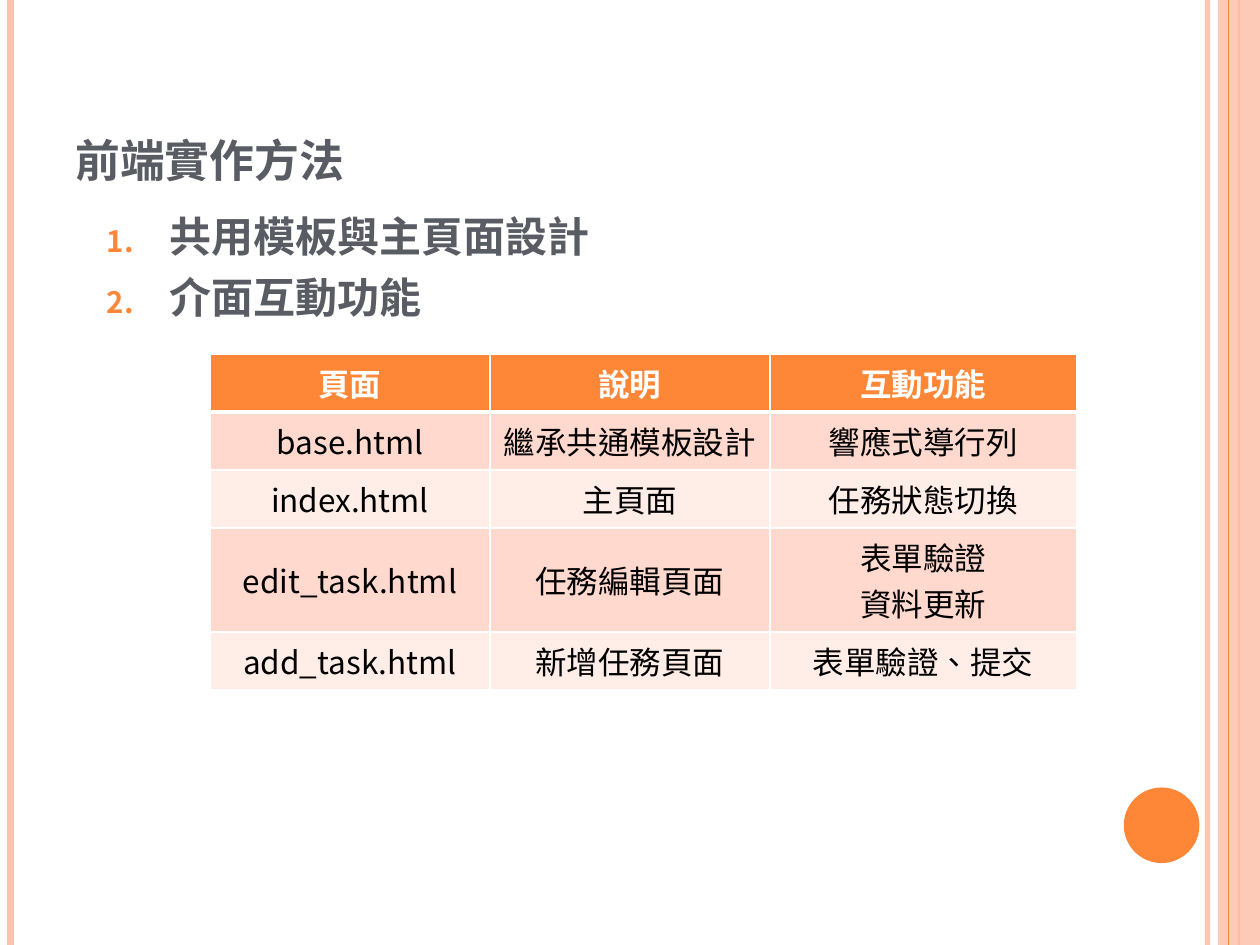
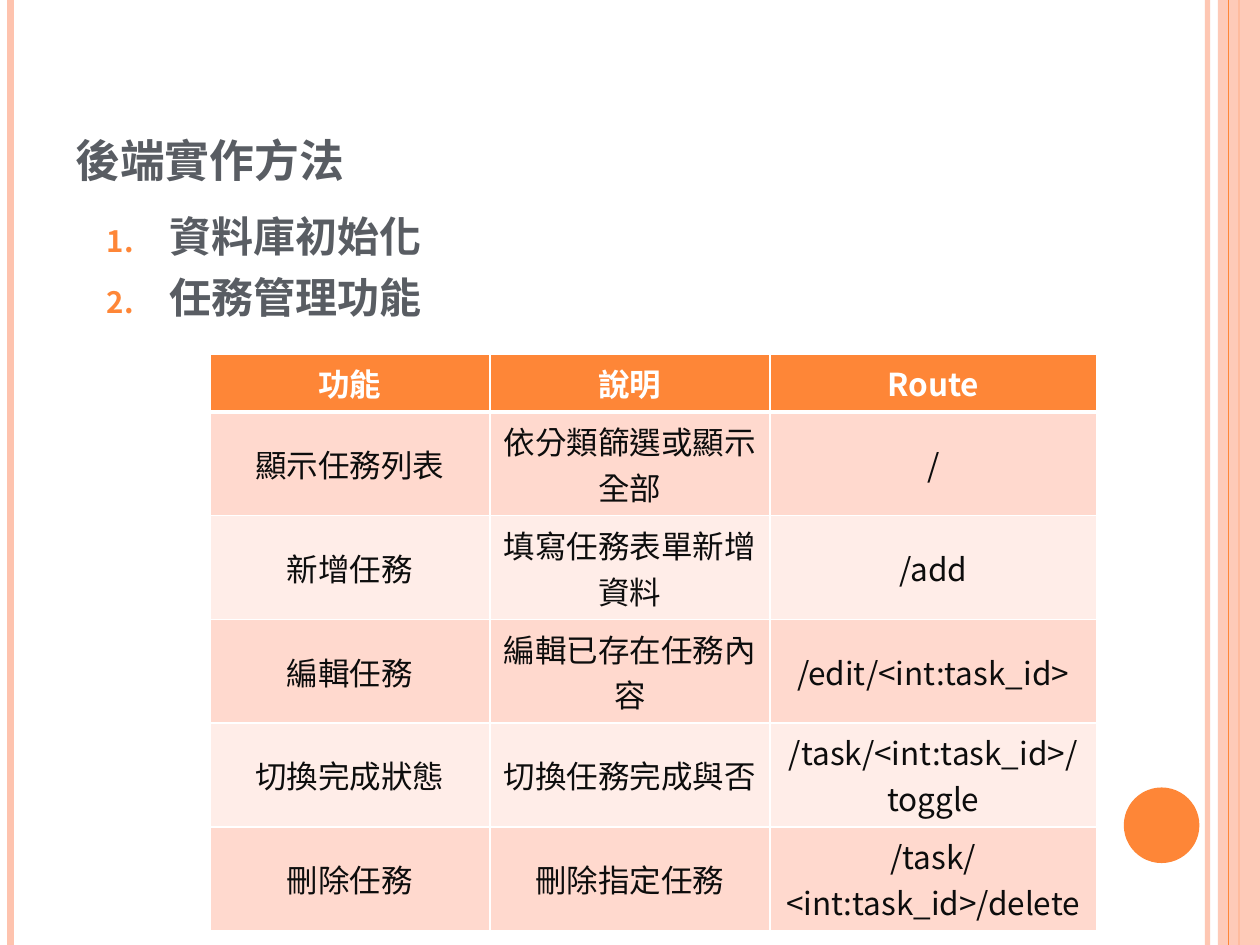
from lxml.etree import SubElement
from pptx import Presentation
from pptx.dml.color import RGBColor
from pptx.enum.shapes import MSO_CONNECTOR as CONN, MSO_SHAPE as SHAPE
from pptx.enum.text import MSO_ANCHOR as ANCHOR, PP_ALIGN as ALIGN
from pptx.oxml.ns import qn
from pptx.util import Pt

FONT = "Noto Sans CJK SC"
ORANGE = RGBColor(0xFE, 0x86, 0x37)
PEACH = RGBColor(0xFE, 0xC3, 0xAE)
BAND_DARK = RGBColor(0xFF, 0xD9, 0xCE)
BAND_LIGHT = RGBColor(0xFF, 0xED, 0xE8)
SLATE = RGBColor(0x59, 0x5D, 0x63)
WHITE = RGBColor(0xFF, 0xFF, 0xFF)
BLACK = RGBColor(0x00, 0x00, 0x00)
NEAR_BLACK = RGBColor(0x0D, 0x0D, 0x0D)

SLIDE_W, SLIDE_H = 720, 540
TITLE_BOX = (36, 21.6, 588, 90)
LIST_BOX = (54, 116.6, 588, 384)
TABLE_POS = (120, 202.2)
CELL_PAD, LINE_H = 7.1, 26.1

FRONTEND = dict(
    title="前端實作方法",
    items=["共用模板與主頁面設計", "介面互動功能"],
    widths=[160, 160, 175.2],
    row_lines=[1, 1, 1, 2, 1],
    ink=BLACK,
    rows=[
        ["頁面", "說明", "互動功能"],
        ["base.html", "繼承共通模板設計", "響應式導行列"],
        ["index.html", "主頁面", "任務狀態切換"],
        ["edit_task.html", "任務編輯頁面", "表單驗證\n資料更新"],
        ["add_task.html", "新增任務頁面", "表單驗證、提交"],
    ],
)
BACKEND = dict(
    title="後端實作方法",
    items=["資料庫初始化", "任務管理功能"],
    widths=[160, 160, 186.6],
    row_lines=[1, 2, 2, 2, 2, 2],
    ink=NEAR_BLACK,
    rows=[
        ["功能", "說明", "Route"],
        ["顯示任務列表", "依分類篩選或顯示全部", "/"],
        ["新增任務", "填寫任務表單新增資料", "/add"],
        ["編輯任務", "編輯已存在任務內容", "/edit/<int:task_id>"],
        ["切換完成狀態", "切換任務完成與否", "/task/<int:task_id>/\ntoggle"],
        ["刪除任務", "刪除指定任務", "/task/<int:task_id>/delete"],
    ],
)


def sub(parent, tag, **attrs):
    """Append a DrawingML element with the given attributes."""
    el = SubElement(parent, qn(tag))
    for name, value in attrs.items():
        el.set(name, str(value))
    return el


def set_alpha(sp, percent):
    """Make every solid colour of a shape or line partly transparent."""
    for clr in sp._element.spPr.iter(qn("a:srgbClr")):
        sub(clr, "a:alpha", val=percent * 1000)


def add_run(p, text, size, color, bold=False):
    """Add one run in the deck font and return its properties element."""
    r = p.add_run()
    r.text = text
    r.font.size, r.font.bold, r.font.name = Pt(size), bold, FONT
    r.font.color.rgb = color
    rPr = r._r.get_or_add_rPr()
    sub(rPr, "a:ea", typeface=FONT)
    if not text.isascii():
        rPr.set("lang", "zh-TW")
    return rPr


def add_textbox(s, box):
    """Add a wrapping text box and return its text frame."""
    tf = s.shapes.add_textbox(*map(Pt, box)).text_frame
    tf.word_wrap = True
    return tf


def add_rule(s, x, color, width):
    """Draw a full-height vertical rule."""
    ln = s.shapes.add_connector(CONN.STRAIGHT, Pt(x), Pt(0), Pt(x), Pt(SLIDE_H))
    ln.line.color.rgb, ln.line.width = color, Pt(width)
    sub(ln._element.spPr, "a:effectLst")
    return ln


def add_block(s, kind, box, color):
    """Add a filled shape without outline or shadow."""
    sp = s.shapes.add_shape(kind, *map(Pt, box))
    sp.shadow.inherit = False
    sp.fill.solid()
    sp.fill.fore_color.rgb = color
    sp.line.fill.background()
    return sp


def add_frame(s):
    """Draw the edge rules, the right band and the orange disc."""
    set_alpha(add_rule(s, 690, PEACH, 3), 93)
    add_rule(s, 6, PEACH, 4.5)
    add_rule(s, 708, ORANGE, 1.5)
    set_alpha(add_block(s, SHAPE.RECTANGLE, (696, 0, 24, SLIDE_H), PEACH), 87)
    add_rule(s, 702, ORANGE, 0.75)
    add_block(s, SHAPE.OVAL, (642.2, 450, 43.2, 43.2), ORANGE)


def add_title(s, box, text):
    """Add the bottom-anchored small-caps title."""
    tf = add_textbox(s, box)
    tf.vertical_anchor = ANCHOR.BOTTOM
    add_run(tf.paragraphs[0], text, 32, SLATE, True).set("cap", "small")


def add_numbered_list(s, box, items):
    """Add the numbered list with small orange numerals."""
    tf = add_textbox(s, box)
    for i, item in enumerate(items):
        p = tf.add_paragraph() if i else tf.paragraphs[0]
        p.space_before = Pt(6)
        pPr = p._p.get_or_add_pPr()
        pPr.set("marL", str(Pt(36)))
        pPr.set("indent", str(-Pt(36)))
        sub(sub(pPr, "a:buClr"), "a:srgbClr", val=ORANGE)
        sub(pPr, "a:buSzPct", val=70000)
        sub(pPr, "a:buFont", typeface=FONT)
        sub(pPr, "a:buAutoNum", type="arabicPeriod")
        add_run(p, item, 24, SLATE, True)


def style_cell(cell, fill, top_bottom):
    """Fill a cell and give it white borders."""
    tcPr = cell._tc.get_or_add_tcPr()
    for side, width in zip("LRTB", (1, 1, *top_bottom)):
        ln = sub(tcPr, f"a:ln{side}", w=Pt(width))
        sub(sub(ln, "a:solidFill"), "a:srgbClr", val=WHITE)
    cell.fill.solid()
    cell.fill.fore_color.rgb = fill
    cell.vertical_anchor = ANCHOR.MIDDLE


def add_grid(s, pos, widths, row_lines, rows, ink):
    """Add the table with an orange header and banded rows."""
    heights = [CELL_PAD + LINE_H * n for n in row_lines]
    size = (sum(widths), sum(heights))
    tbl = s.shapes.add_table(len(rows), len(widths), *map(Pt, pos + size)).table
    tbl.horz_banding = False
    for col, width in zip(tbl.columns, widths):
        col.width = Pt(width)
    for i, row in enumerate(rows):
        tbl.rows[i].height = Pt(heights[i])
        head = i == 0
        fill = ORANGE if head else BAND_DARK if i % 2 else BAND_LIGHT
        top_bottom = (3 if i == 1 else 1, 3 if head else 1)
        for j, text in enumerate(row):
            cell = tbl.cell(i, j)
            style_cell(cell, fill, top_bottom)
            tf = cell.text_frame
            for k, line in enumerate(text.split("\n")):
                p = tf.add_paragraph() if k else tf.paragraphs[0]
                p.alignment = ALIGN.CENTER
                add_run(p, line, 18, WHITE if head else ink, head)


def add_method_slide(prs, title, items, **grid):
    """Build one slide with title, numbered list and table."""
    s = prs.slides.add_slide(prs.slide_layouts[6])
    add_frame(s)
    add_title(s, TITLE_BOX, title)
    add_numbered_list(s, LIST_BOX, items)
    add_grid(s, TABLE_POS, **grid)


def main():
    """Build the deck and save it."""
    prs = Presentation()
    prs.slide_width, prs.slide_height = Pt(SLIDE_W), Pt(SLIDE_H)
    for content in (FRONTEND, BACKEND):
        add_method_slide(prs, **content)
    prs.save("out.pptx")


if __name__ == "__main__":
    main()
